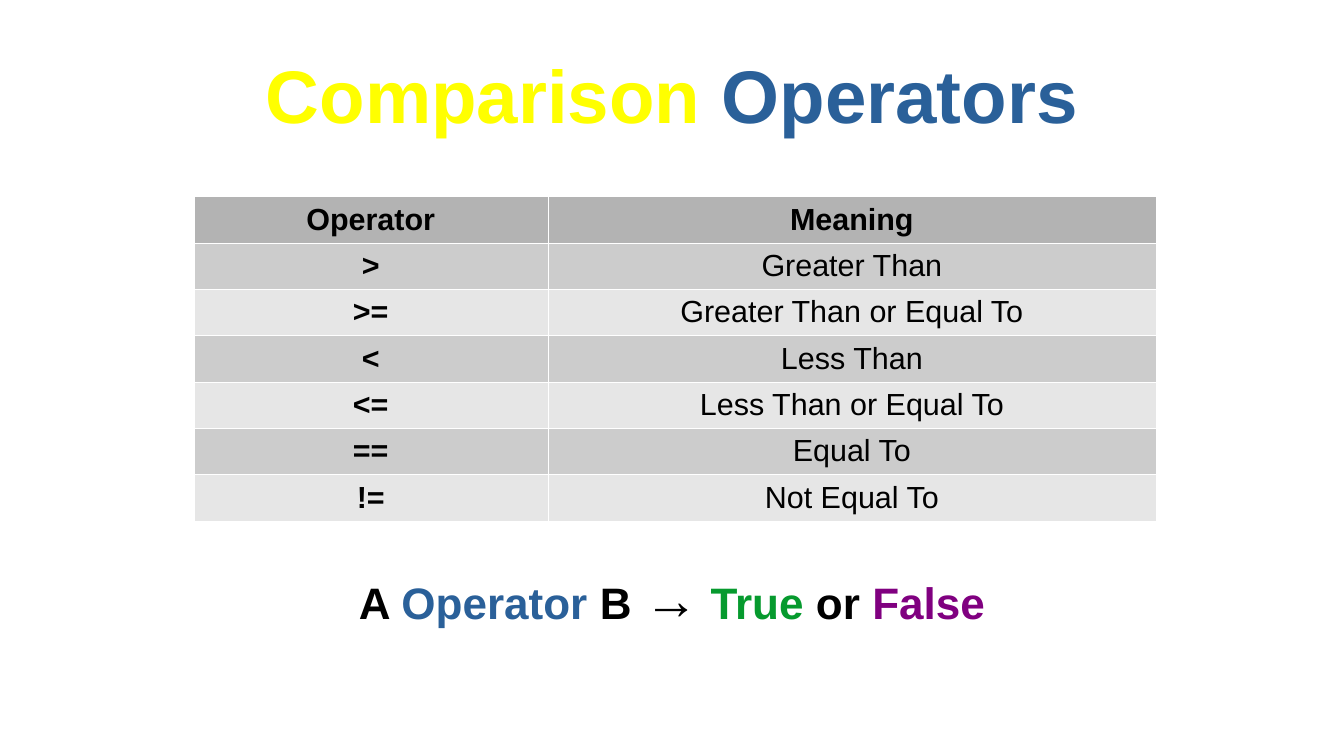
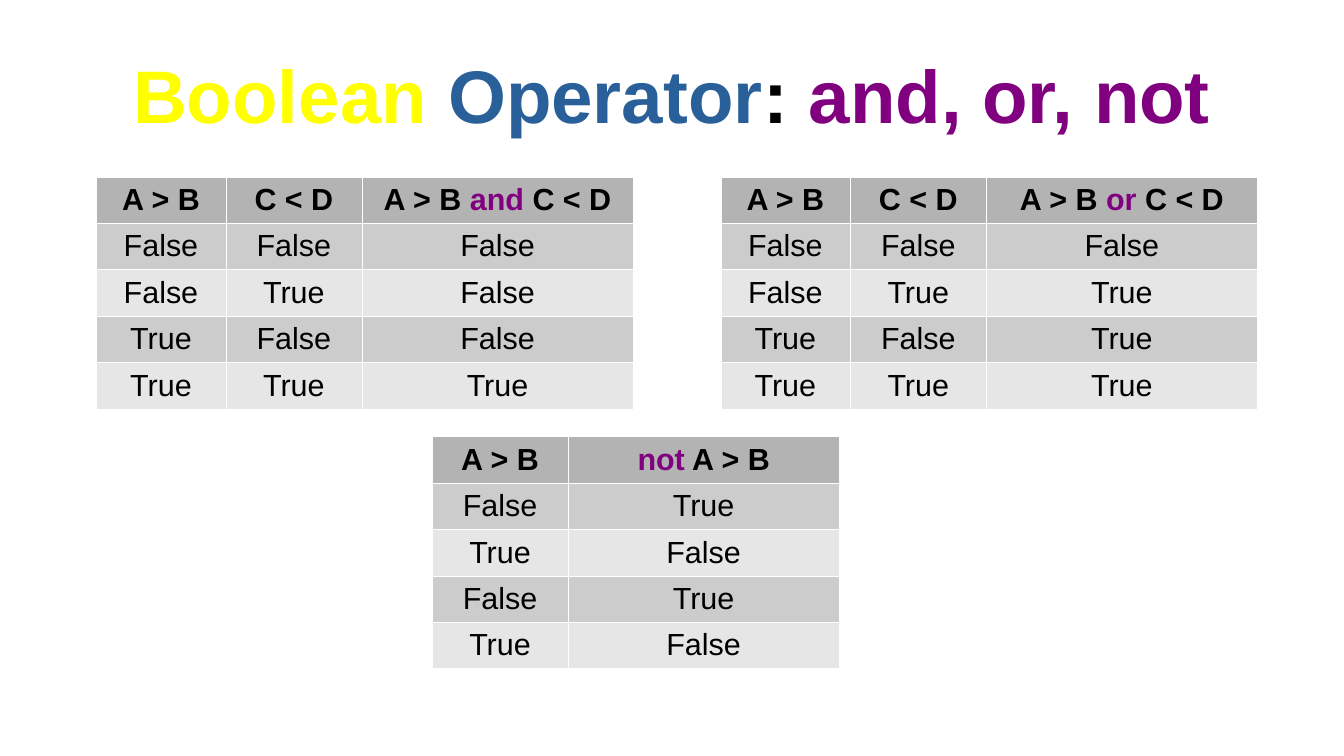
"""Build two slides on comparison and Boolean operators."""
from lxml import etree
from pptx import Presentation
from pptx.dml.color import RGBColor
from pptx.enum import text
from pptx.oxml import ns
from pptx.util import Inches, Pt

BLACK = RGBColor(0x00, 0x00, 0x00)
YELLOW = RGBColor(0xFF, 0xFF, 0x00)
BLUE = RGBColor(0x2A, 0x60, 0x99)
GREEN = RGBColor(0x06, 0x9A, 0x2E)
PURPLE = RGBColor(0x80, 0x00, 0x80)
WHITE = RGBColor(0xFF, 0xFF, 0xFF)
HEADER = RGBColor(0xB3, 0xB3, 0xB3)
BANDS = [RGBColor(0xE6, 0xE6, 0xE6), RGBColor(0xCC, 0xCC, 0xCC)]
BORDER_WIDTH = Pt(0.06)
ROW_HEIGHT = 0.38


def write(tf, parts, size=18, bold=True):
    """Write centred runs given as plain text or (text, colour[, size])."""
    p = tf.paragraphs[0]
    p.alignment = text.PP_ALIGN.CENTER
    for part in [parts] if isinstance(parts, str) else parts:
        words, color, run_size = (part, BLACK, size) if isinstance(part, str) else (*part, size)[:3]
        r = p.add_run()
        r.text = words
        r.font.name = "Arial"
        r.font.size = Pt(run_size)
        r.font.bold = bold
        r.font.color.rgb = color


def add_grid(s, left, top, widths, rows, bold_first=False):
    """Add a banded table with a bold header row and thin white borders."""
    frame = s.shapes.add_table(len(rows), len(widths), Inches(left), Inches(top),
                               Inches(sum(widths)), Inches(ROW_HEIGHT * len(rows)))
    table = frame.table
    for column, width in zip(table.columns, widths):
        column.width = Inches(width)
    for i, row in enumerate(rows):
        for j, parts in enumerate(row):
            cell = table.cell(i, j)
            tcPr = cell._tc.get_or_add_tcPr()
            for side in ("lnL", "lnR", "lnT", "lnB"):
                ln = etree.SubElement(tcPr, ns.qn(f"a:{side}"), w=str(BORDER_WIDTH))
                fill = etree.SubElement(ln, ns.qn("a:solidFill"))
                etree.SubElement(fill, ns.qn("a:srgbClr"), val=str(WHITE))
            cell.fill.solid()
            cell.fill.fore_color.rgb = BANDS[i % 2] if i else HEADER
            write(cell.text_frame, parts, bold=i == 0 or (bold_first and j == 0))


prs = Presentation()
prs.slide_width = Inches(11.02)
prs.slide_height = Inches(6.2)

layout = prs.slide_layouts.get_by_name("Title Only")
title = layout.placeholders[0]
title.left, title.top, title.width, title.height = map(Inches, (0.55, 0.25, 9.92, 1.04))
tf = title.text_frame
tf.margin_left = tf.margin_right = tf.margin_top = tf.margin_bottom = 0
tf.vertical_anchor = text.MSO_ANCHOR.MIDDLE
tf.auto_size = text.MSO_AUTO_SIZE.NONE

s = prs.slides.add_slide(layout)
write(s.shapes.title.text_frame, [("Comparison ", YELLOW), ("Operators", BLUE)], size=44)
add_grid(s, 1.59, 1.61, [2.9, 4.99], [
    ("Operator", "Meaning"),
    (">", "Greater Than"),
    (">=", "Greater Than or Equal To"),
    ("<", "Less Than"),
    ("<=", "Less Than or Equal To"),
    ("==", "Equal To"),
    ("!=", "Not Equal To"),
], bold_first=True)

formula = s.shapes.add_textbox(Inches(0.55), Inches(4.58), Inches(9.92), Inches(1.04))
tf = formula.text_frame
tf.word_wrap = True
tf.margin_left = tf.margin_right = tf.margin_bottom = 0
tf.margin_top = Inches(0.06)
write(tf, ["A ", ("Operator", BLUE), " B ", ("→", BLACK, 32), " ",
           ("True", GREEN), " or ", ("False", PURPLE)], size=26)

s = prs.slides.add_slide(layout)
write(s.shapes.title.text_frame,
      [("Boolean ", YELLOW), ("Operator", BLUE), ": ", ("and, or, not", PURPLE)], size=44)
values = (False, True)
for left, word, combine in [(0.79, "and", min), (5.91, "or", max)]:
    rows = [("A > B", "C < D", ["A > B ", (word, PURPLE), " C < D"])]
    rows += [(str(a), str(b), str(combine(a, b))) for a in values for b in values]
    add_grid(s, left, 1.45, [1.06, 1.12, 2.22], rows)

rows = [("A > B", [("not", PURPLE), " A > B"])]
rows += [(str(a), str(not a)) for a in values * 2]
add_grid(s, 3.54, 3.58, [1.12, 2.22], rows)

prs.save("out.pptx")
